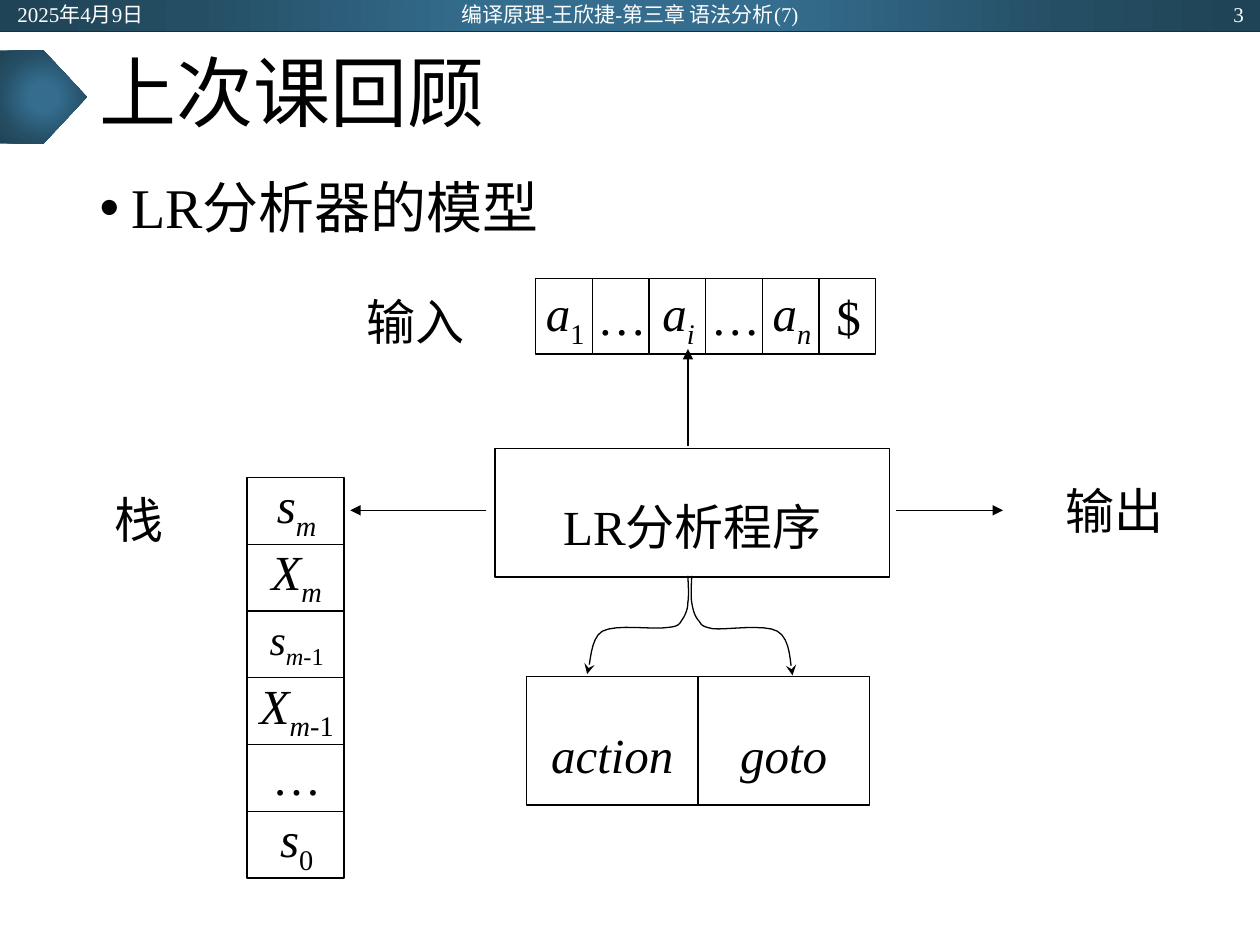
from pptx import Presentation
from pptx.dml.color import RGBColor
from pptx.enum.shapes import MSO_CONNECTOR as Conn, MSO_SHAPE as Kind
from pptx.enum.text import MSO_ANCHOR as Anchor, PP_ALIGN as Align
from pptx.oxml import parse_xml
from pptx.oxml.ns import nsdecls, qn
from pptx.util import Inches, Pt

FONT = "Times New Roman"
BLACK, WHITE, EDGE = "000000", "FFFFFF", "222A35"
GLOW = [(0, "346D8E"), (23, "346D8E"), (69, "254E64"), (97, "204457")]

# A run is (text, style): "i" italic, "b" subscript
TITLE = [("上次课回顾", "")]
POINT = [("LR分析器的模型", "")]
HEADER = [  # text, left, width, alignment
    ("2025年4月9日", 0.04, 2.25, Align.LEFT),
    ("编译原理-王欣捷-第三章 语法分析(7)", 3.31, 3.38, Align.CENTER),
    ("3", 7.72, 2.25, Align.RIGHT),
]
LABELS = [("输入", 2.73, 2.21), ("输出", 8.28, 3.71), ("栈", 0.54, 3.78)]
DOTS = [("…", "")]
INPUT = [
    [("a", "i"), ("1", "b")], DOTS,
    [("a", "i"), ("i", "ib")], DOTS,
    [("a", "i"), ("n", "ib")], [("$", "")],
]
STACK = [  # runs, size
    ([("s", "i"), ("m", "ib")], 28),
    ([("X", "i"), ("m", "ib")], 28),
    ([("s", "i"), ("m", "ib"), ("-1", "b")], 24),
    ([("X", "i"), ("m", "ib"), ("-1", "b")], 28),
    (DOTS, 28),
    ([("s", "i"), ("0", "b")], 28),
]
BLOCKS = [  # runs, left, top, width
    ([("LR分析程序", "")], 3.93, 3.56, 3.13),
    ([("action", "i")], 4.18, 5.37, 1.36),
    ([("goto", "i")], 5.54, 5.37, 1.36),
]
ARROWS = [
    ((5.46, 3.54), (5.46, 2.77)),
    ((7.11, 4.05), (7.96, 4.05)),
    ((3.86, 4.05), (2.78, 4.05)),
]
# Each curve: a start, then Bezier segments of three points
CURVES = [
    [(5.46, 4.57), (5.46, 4.6), (5.47, 4.72), (5.46, 4.78),
     (5.46, 4.83), (5.44, 4.88), (5.42, 4.91),
     (5.39, 4.95), (5.4, 4.97), (5.3, 4.98),
     (5.19, 5), (4.89, 4.95), (4.78, 5.01),
     (4.68, 5.07), (4.69, 5.28), (4.66, 5.35)],
    [(5.49, 4.57), (5.49, 4.61), (5.48, 4.72), (5.49, 4.78),
     (5.5, 4.84), (5.51, 4.88), (5.54, 4.92),
     (5.57, 4.95), (5.55, 4.97), (5.66, 4.99),
     (5.76, 5), (6.07, 4.95), (6.17, 5.01),
     (6.28, 5.07), (6.27, 5.28), (6.29, 5.36)],
]


def rgb(code):
    return RGBColor.from_string(code)


def place(shape, *box):
    shape.left, shape.top, shape.width, shape.height = map(Inches, box)


def write(shape, runs, size, color=BLACK, align=Align.CENTER,
          inset=(0.1, 0.05, 0.1, 0.05), gap=1.0, anchor=Anchor.MIDDLE):
    frame = shape.text_frame
    frame.word_wrap = True
    frame.vertical_anchor = anchor
    (frame.margin_left, frame.margin_top,
     frame.margin_right, frame.margin_bottom) = map(Inches, inset)
    para = frame.paragraphs[0]
    para.alignment, para.line_spacing = align, gap
    para.space_before = Pt(0)
    for text, style in runs:
        run = para.add_run()
        run.text = text
        font = run.font
        font.name, font.size, font.italic = FONT, Pt(size), "i" in style
        font.color.rgb = rgb(color)
        if "b" in style:
            font._element.set("baseline", "-25000")
    return para


def glow(slide, kind, *box):
    """Add a borderless shape with a radial gradient."""
    shape = slide.shapes.add_shape(kind, *map(Inches, box))
    shape.shadow.inherit = False
    shape.line.fill.background()
    shape.fill.gradient()
    stops = "".join(
        f'<a:gs pos="{pos * 1000}"><a:srgbClr val="{code}"/></a:gs>'
        for pos, code in GLOW)
    props = shape._element.spPr
    props.replace(props.find(qn("a:gradFill")), parse_xml(
        f'<a:gradFill {nsdecls("a")} rotWithShape="1"><a:gsLst>{stops}</a:gsLst>'
        '<a:path path="circle"><a:fillToRect l="50000" t="50000" '
        'r="50000" b="50000"/></a:path></a:gradFill>'))


def cell(slide, runs, box, size=28, **style):
    shape = slide.shapes.add_shape(Kind.RECTANGLE, *map(Inches, box))
    shape.shadow.inherit = False
    shape.fill.background()
    ink(shape)
    write(shape, runs, size, **style)


def ink(shape, color=BLACK, width=0.75, head=None):
    shape.line.color.rgb = rgb(color)
    shape.line.width = Pt(width)
    if head:
        shape.line._get_or_add_ln().append(
            parse_xml(f'<a:tailEnd {nsdecls("a")} type="{head}"/>'))


def line(slide, start, end, **style):
    link = slide.shapes.add_connector(
        Conn.STRAIGHT, *map(Inches, (*start, *end)))
    ink(link, **style)
    link._element.spPr.append(parse_xml(f'<a:effectLst {nsdecls("a")}/>'))


def trace(points, steps=8):
    """Sample a chain of cubic Bezier segments."""
    yield points[0]
    for at in range(0, len(points) - 1, 3):
        for step in range(1, steps + 1):
            t = step / steps
            u = 1 - t
            mix = (u ** 3, 3 * u * u * t, 3 * u * t * t, t ** 3)
            yield tuple(sum(m * p[axis] for m, p in zip(mix, points[at:at + 4]))
                        for axis in (0, 1))


def curve(slide, points):
    first, *rest = [tuple(map(Inches, spot)) for spot in trace(points)]
    build = slide.shapes.build_freeform(*first)
    build.add_line_segments(rest, close=False)
    shape = build.convert_to_shape()
    shape.shadow.inherit = False
    shape.fill.background()
    ink(shape, head="stealth")


def label(slide, text, box, size=28, **style):
    shape = slide.shapes.add_textbox(*map(Inches, box))
    write(shape, [(text, "")], size, **style)


def main():
    deck = Presentation()
    deck.slide_width, deck.slide_height = Inches(10), Inches(7.5)
    slide = deck.slides.add_slide(deck.slide_layouts[1])

    title, body = slide.placeholders
    place(title, 0.69, 0.25, 8.62, 1.04)
    write(title, TITLE, 44, align=Align.LEFT, gap=0.9)
    place(body, 0.69, 1.38, 8.62, 5.38)
    para = write(body, POINT, 32, align=Align.LEFT, gap=0.9, anchor=Anchor.TOP)
    props = para._p.get_or_add_pPr()
    props.set("marL", str(Inches(0.25)))
    props.set("indent", str(-Inches(0.25)))
    props.append(parse_xml(f'<a:buFont {nsdecls("a")} typeface="Arial"/>'))
    props.append(parse_xml(f'<a:buChar {nsdecls("a")} char="•"/>'))

    glow(slide, Kind.RECTANGLE, 0, 0, 10, 0.25)
    line(slide, (0, 0.25), (10, 0.25), color=EDGE, width=0.5)
    glow(slide, Kind.PENTAGON, 0, 0.4, 0.69, 0.74)
    for text, left, width, align in HEADER:
        label(slide, text, (left, 0.01, width, 0.2), 12, color=WHITE,
              align=align, inset=(0.1, 0, 0.1, 0))

    for text, left, top in LABELS:
        label(slide, text, (left, top, 1.13, 0.67))
    for runs, left, top, width in BLOCKS:
        cell(slide, runs, (left, top, width, 1.02), gap=1.3,
             inset=(0.1, 0.11, 0.1, 0.05))
    for row, (runs, size) in enumerate(STACK):
        cell(slide, runs, (1.96, 3.79 + 0.53 * row, 0.77, 0.53), size,
             inset=(0.04, 0, 0.02, 0.04))
    for col, runs in enumerate(INPUT):
        cell(slide, runs, (4.25 + 0.45 * col, 2.21, 0.45, 0.6),
             inset=(0.04, 0.01, 0.02, 0.01))
    for start, end in ARROWS:
        line(slide, start, end, head="triangle")
    for points in CURVES:
        curve(slide, points)

    deck.save("out.pptx")


if __name__ == "__main__":
    main()
